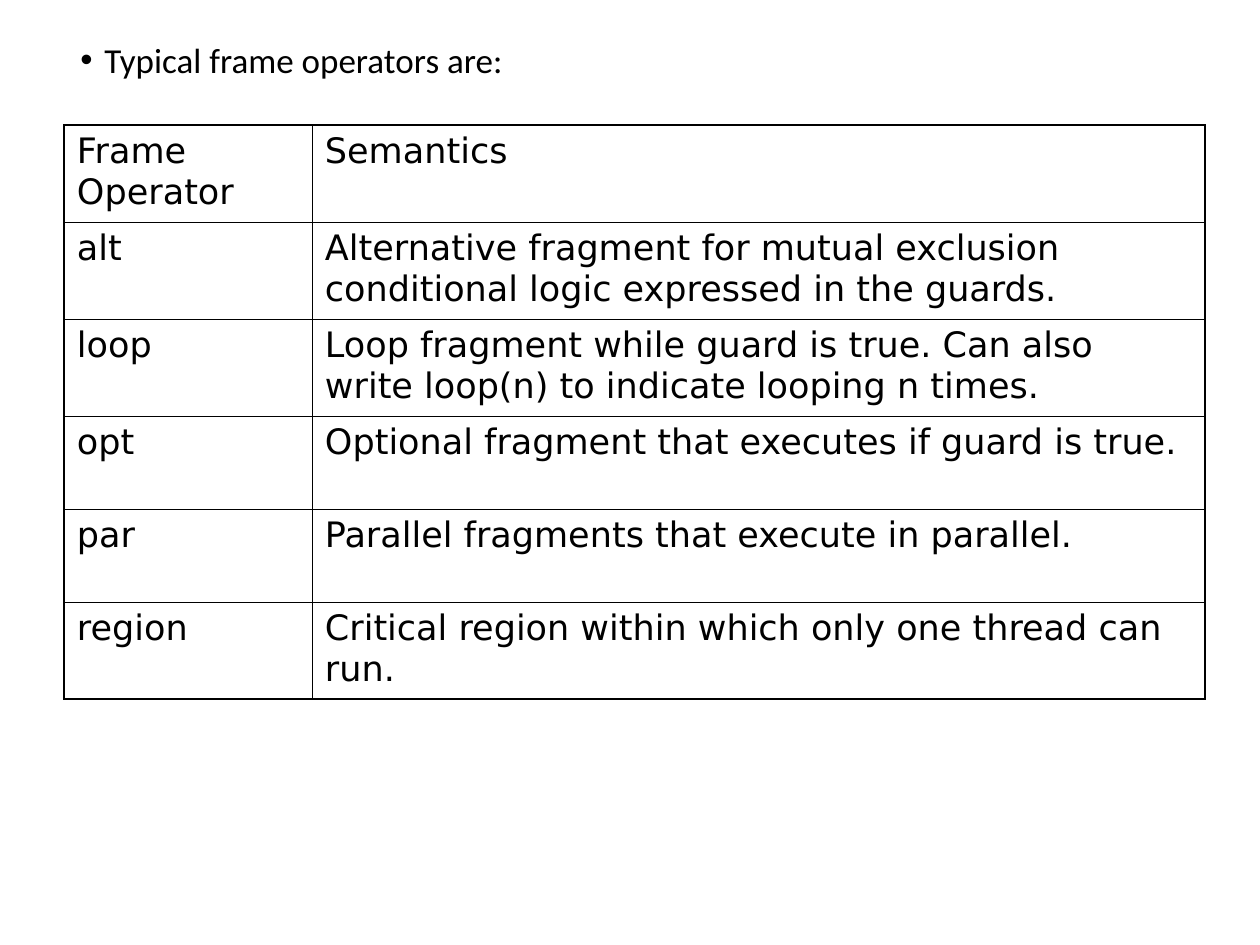
from lxml import etree
from pptx import Presentation
from pptx.dml.color import RGBColor
from pptx.enum.text import MSO_ANCHOR
from pptx.oxml.ns import qn
from pptx.util import Emu, Pt

TOP = MSO_ANCHOR.TOP
PX = 914400 // 126  # EMU in one px

# Content
HEADING = "Typical frame operators are:"
OPERATORS = [
    ("Frame Operator", "Semantics"),
    ("alt", "Alternative fragment for mutual exclusion conditional logic expressed in the guards."),
    ("loop", "Loop fragment while guard is true. Can also write loop(n) to indicate looping n times."),
    ("opt", "Optional fragment that executes if guard is true."),
    ("par", "Parallel fragments that execute in parallel."),
    ("region", "Critical region within which only one thread can run."),
]

# Format
COLORS = {"ink": "000000"}
HEADING_FONT = {"name": "Calibri", "size": Pt(20)}
TABLE_FONT = {"name": "DejaVu Sans", "size": Pt(20)}
HEADING_BOX = (21, 37, 1162, 74)
INDENT, HANGING = 71, 24
TABLE_LEFT, TABLE_TOP = 64, 125
COLUMNS = (248, 893)
ROWS = (97, 97, 97, 93, 93, 97)
OUTER, INNER = Pt(1.08), Pt(0.45)
MARGINS = {"margin_left": 13, "margin_right": 13, "margin_top": 6, "margin_bottom": 6}


def px(*lengths):
    return [Emu(length * PX) for length in lengths]


def set_font(paragraph, values):
    for key, value in values.items():
        setattr(paragraph.font, key, value)
    paragraph.font.color.rgb = RGBColor.from_string(COLORS["ink"])


def add_bullet(paragraph):
    properties = paragraph._p.get_or_add_pPr()
    properties.set("marL", str(INDENT * PX))
    properties.set("indent", str(-HANGING * PX))
    etree.SubElement(properties, qn("a:buFont"), typeface="Arial")
    etree.SubElement(properties, qn("a:buChar"), char="•")


def add_border(cell, side, width):
    line = etree.SubElement(cell._tc.get_or_add_tcPr(), qn("a:ln" + side), w=str(width))
    fill = etree.SubElement(line, qn("a:solidFill"))
    etree.SubElement(fill, qn("a:srgbClr"), val=COLORS["ink"])


prs = Presentation()
prs.slide_width, prs.slide_height = px(1260, 945)
slide = prs.slides.add_slide(prs.slide_layouts[6])

# Heading bullet
heading = slide.shapes.add_textbox(*px(*HEADING_BOX)).text_frame
heading.word_wrap = True
bullet = heading.paragraphs[0]
bullet.text = HEADING
bullet.line_spacing = 0.9
add_bullet(bullet)
set_font(bullet, HEADING_FONT)

# Operator table
table = slide.shapes.add_table(
    len(ROWS), len(COLUMNS), *px(TABLE_LEFT, TABLE_TOP, sum(COLUMNS), sum(ROWS))
).table
table.first_row = table.horz_banding = False
for column, width in zip(table.columns, px(*COLUMNS)):
    column.width = width
for row, height in zip(table.rows, px(*ROWS)):
    row.height = height

last_row, last_column = len(ROWS) - 1, len(COLUMNS) - 1
for r, operator in enumerate(OPERATORS):
    for c, text in enumerate(operator):
        cell = table.cell(r, c)
        cell.text = text
        cell.vertical_anchor = TOP
        for margin, length in MARGINS.items():
            setattr(cell, margin, Emu(length * PX))
        set_font(cell.text_frame.paragraphs[0], TABLE_FONT)
        on_edge = {"L": c == 0, "R": c == last_column, "T": r == 0, "B": r == last_row}
        for side, outer in on_edge.items():
            add_border(cell, side, OUTER if outer else INNER)
        cell.fill.background()

prs.save("out.pptx")
